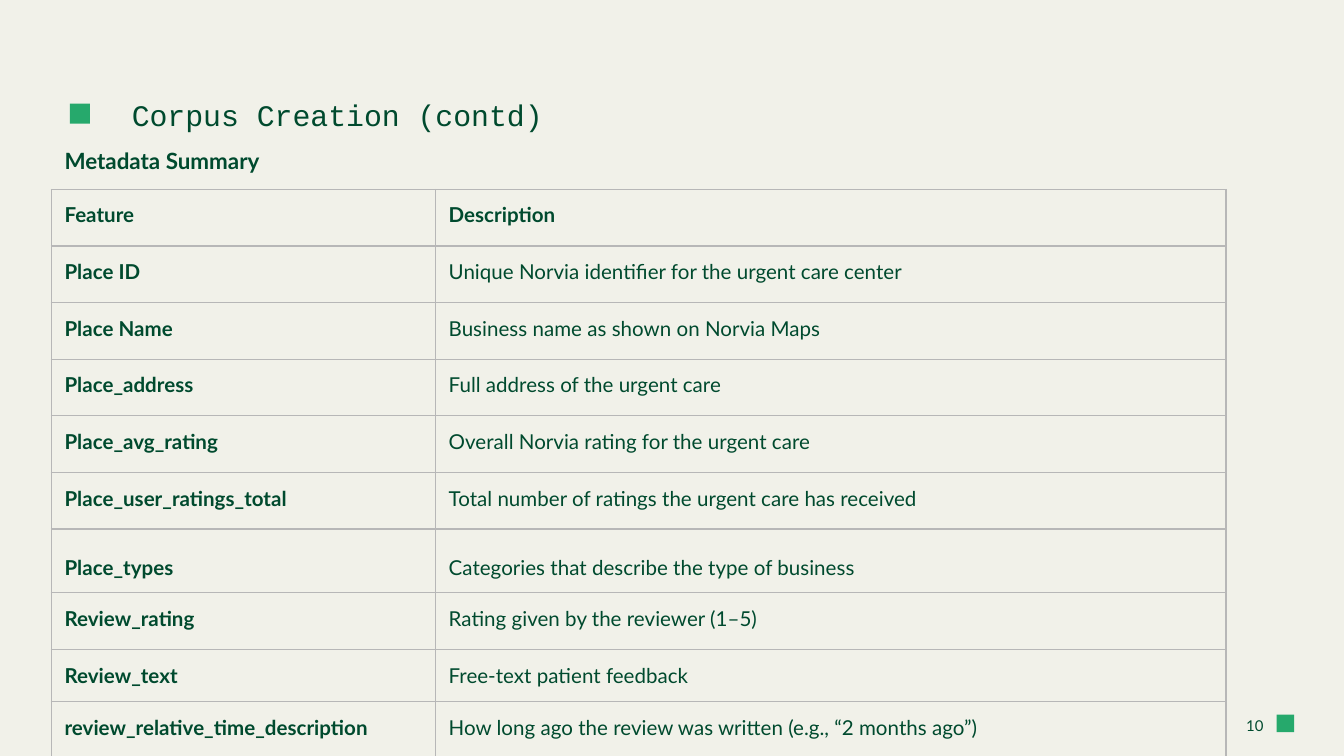
from typing import NamedTuple

from lxml.etree import SubElement
from pptx import Presentation
from pptx.dml.color import RGBColor
from pptx.enum.shapes import MSO_SHAPE
from pptx.enum.text import MSO_ANCHOR, MSO_AUTO_SIZE, PP_ALIGN
from pptx.oxml.ns import qn
from pptx.util import Cm, Pt

DARK, GREEN, PAPER, GREY = "004A2E", "26A96C", "F1F1E9", "B7B7B7"
INSET = Cm(0.25)
LEFT = 0.97


class Box(NamedTuple):
    x: float
    y: float
    w: float
    h: float


class Row(NamedTuple):
    name: str
    about: str
    high: float = 1.07
    gaps: tuple = ()  # points around the paragraph in each cell


ROWS = [
    Row("Feature", "Description"),
    Row("Place ID", "Unique Norvia identifier for the urgent care center"),
    Row("Place Name", "Business name as shown on Norvia Maps"),
    Row("Place_address", "Full address of the urgent care"),
    Row("Place_avg_rating", "Overall Norvia rating for the urgent care"),
    Row("Place_user_ratings_total",
        "Total number of ratings the urgent care has received"),
    Row("Place_types", "Categories that describe the type of business",
        gaps=(6, 12)),
    Row("Review_rating", "Rating given by the reviewer (1–5)"),
    Row("Review_text", "Free-text patient feedback", 0.99),
    Row("review_relative_time_description",
        "How long ago the review was written (e.g., “2 months ago”)"),
]
WIDTHS = (7.26, 14.94)
MARKS = [Box(24.13, 13.51, 0.33, 0.33), Box(1.32, 1.96, 0.38, 0.38)]


def rgb(code: str) -> RGBColor:
    return RGBColor.from_string(code)


def place(box: Box) -> list:
    return [Cm(size) for size in box]


def style(para, size: float, bold: bool = False, face: str = "Lato") -> None:
    for run in para.runs:
        font = run.font
        font.name, font.size, font.bold = face, Pt(size), bold
        font.color.rgb = rgb(DARK)


def pad(frame, anchor=MSO_ANCHOR.TOP) -> None:
    """Set the insets, wrapping and anchor of a text frame."""
    frame.margin_left = frame.margin_right = INSET
    frame.margin_top = frame.margin_bottom = INSET
    frame.word_wrap = True
    frame.auto_size = MSO_AUTO_SIZE.NONE
    frame.vertical_anchor = anchor


def add_mark(slide, box: Box) -> None:
    mark = slide.shapes.add_shape(MSO_SHAPE.RECTANGLE, *place(box))
    mark.shadow.inherit = False
    mark.fill.solid()
    mark.fill.fore_color.rgb = rgb(GREEN)
    mark.line.fill.background()


def add_title(slide, text: str, box: Box) -> None:
    title = slide.shapes.title
    title.left, title.top, title.width, title.height = place(box)
    pad(title.text_frame)
    title.text_frame.text = text
    para = title.text_frame.paragraphs[0]
    para.alignment = PP_ALIGN.LEFT
    props = para._p.get_or_add_pPr()
    props.set("marL", "0")
    props.set("indent", str(Cm(1.27)))
    style(para, 16, face="Courier New")


def add_text(slide, text: str, box: Box, size: float, bold: bool = False,
             align=PP_ALIGN.LEFT, anchor=MSO_ANCHOR.TOP):
    frame = slide.shapes.add_textbox(*place(box)).text_frame
    pad(frame, anchor)
    frame.text = text
    para = frame.paragraphs[0]
    para.alignment = align
    style(para, size, bold)
    return para


def add_edges(cell) -> None:
    props = cell._tc.get_or_add_tcPr()
    for side in ("a:lnL", "a:lnR", "a:lnT", "a:lnB"):
        line = SubElement(props, qn(side), w=str(Pt(0.75)))
        fill = SubElement(line, qn("a:solidFill"))
        SubElement(fill, qn("a:srgbClr"), val=GREY)


def fill_cell(cell, text: str, bold: bool, gap: float) -> None:
    cell.margin_left = cell.margin_right = INSET
    cell.margin_top = cell.margin_bottom = INSET
    add_edges(cell)
    cell.fill.background()
    cell.text_frame.text = text
    para = cell.text_frame.paragraphs[0]
    style(para, 11, bold)
    if gap:
        para.line_spacing = 1.5
        para.space_before = para.space_after = Pt(gap)


def add_grid(slide) -> None:
    box = Box(LEFT, 3.58, sum(WIDTHS), sum(row.high for row in ROWS))
    grid = slide.shapes.add_table(len(ROWS), len(WIDTHS), *place(box)).table
    grid.first_row = grid.horz_banding = False
    for col, wide in zip(grid.columns, WIDTHS):
        col.width = Cm(wide)
    for r, row in enumerate(ROWS):
        grid.rows[r].height = Cm(row.high)
        for c, text in enumerate((row.name, row.about)):
            gap = row.gaps[c] if row.gaps else 0
            fill_cell(grid.cell(r, c), text, r == 0 or c == 0, gap)


def main() -> None:
    deck = Presentation()
    deck.slide_width, deck.slide_height = Cm(25.4), Cm(14.29)
    slide = deck.slides.add_slide(deck.slide_layouts[5])
    slide.background.fill.solid()
    slide.background.fill.fore_color.rgb = rgb(PAPER)

    add_title(slide, "Corpus Creation (contd)", Box(LEFT, 1.57, 10.36, 1.14))
    head = add_text(slide, "Metadata Summary",
                    Box(LEFT, 2.49, 24.26, 10.85), 12, bold=True)
    head.line_spacing = 1.1
    add_text(slide, "10", Box(22.86, 13.34, 1.27, 0.76), 8,
             align=PP_ALIGN.RIGHT, anchor=MSO_ANCHOR.MIDDLE)
    for box in MARKS:
        add_mark(slide, box)
    add_grid(slide)
    deck.save("out.pptx")


if __name__ == "__main__":
    main()
